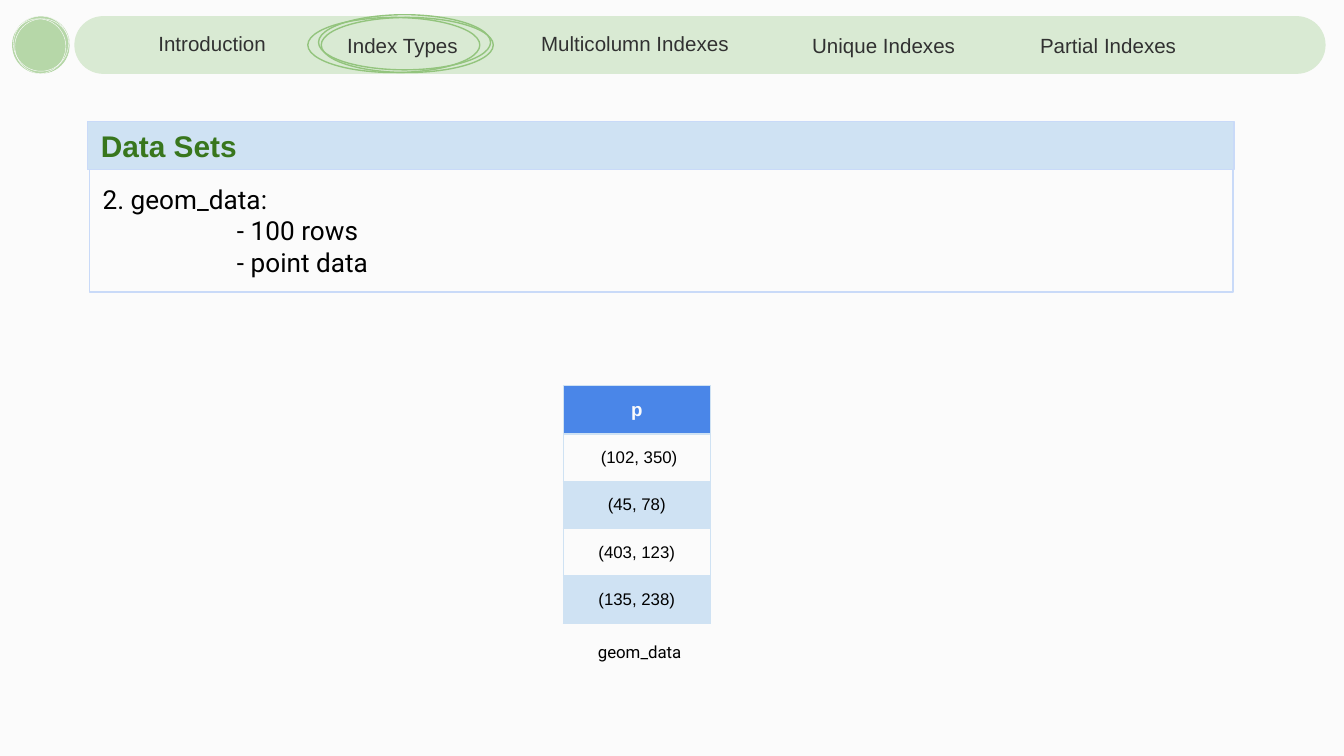
import pptx
import pptx.util
import pptx.dml.color
import pptx.enum.shapes
import pptx.enum.text
import pptx.oxml
import pptx.oxml.ns

Pt = pptx.util.Pt
kind = pptx.enum.shapes.MSO_SHAPE
align = pptx.enum.text.PP_ALIGN
mid = pptx.enum.text.MSO_ANCHOR.MIDDLE
top = pptx.enum.text.MSO_ANCHOR.TOP
color = pptx.dml.color.RGBColor.from_string

deck = pptx.Presentation()
deck.slide_width = pptx.util.Inches(10)
deck.slide_height = deck.slide_width * 9 // 16
slide = deck.slides.add_slide(deck.slide_layouts[6])
slide.background.fill.solid()
slide.background.fill.fore_color.rgb = color("FBFBFB")
unit = deck.slide_width / 100
pad = round(unit)


def draw(form, box, fill=None, line=None, width=0.75):
    shape = slide.shapes.add_shape(form, *[round(n * unit) for n in box])
    shape.shadow.inherit = False
    if fill:
        shape.fill.solid()
        shape.fill.fore_color.rgb = color(fill)
    else:
        shape.fill.background()
    if line:
        shape.line.color.rgb = color(line)
        shape.line.width = Pt(width)
    else:
        shape.line.fill.background()
    return shape


def write(frame, lines, size, ink, face="Arial", bold=False, side=align.LEFT, anchor=mid):
    frame.word_wrap = True
    frame.vertical_anchor = anchor
    frame.margin_left = frame.margin_right = pad
    frame.margin_top = frame.margin_bottom = pad
    for i, line in enumerate(lines):
        para = frame.paragraphs[0] if i == 0 else frame.add_paragraph()
        para.alignment = side
        run = para.add_run()
        run.text = line
        run.font.size = Pt(size)
        run.font.name = face
        run.font.bold = bold
        run.font.color.rgb = color(ink)


draw(kind.OVAL, (0.9, 1.2, 4.3, 4.3), "B6D7A8")
for x, y in [(1, 1.2), (0.8, 1.4), (1.1, 1.4)]:
    draw(kind.OVAL, (x, y, 4.1, 4.1), None, "FBFBFB", 0.23)

head = draw(kind.RECTANGLE, (6.53, 9.03, 85.3, 3.6), "CFE2F3", "C9DAF8")
write(head.text_frame, ["Data Sets"], 16, "38761D", bold=True)

body = draw(kind.RECTANGLE, (6.65, 12.63, 85.1, 9.1), None, "C9DAF8")
notes = ["2. geom_data:", "- 100 rows", "- point data"]
write(body.text_frame, notes, 14, "000000", "Roboto", side=align.JUSTIFY, anchor=top)
for para in body.text_frame.paragraphs[1:]:
    props = para._p.get_or_add_pPr()
    props.set("marL", str(10 * pad))
    props.set("indent", "0")

points = ["p", " (102, 350)", "(45, 78)", "(403, 123)", "(135, 238)"]
spot = [round(n * unit) for n in (41.9, 28.7, 10.95, 17.7)]
table = slide.shapes.add_table(len(points), 1, *spot).table
table.first_row = table.horz_banding = False
for i, point in enumerate(points):
    table.rows[i].height = round((3.52 if i else 3.6) * unit)
    cell = table.cell(i, 0)
    if i % 2:
        cell.fill.background()
    else:
        cell.fill.solid()
        cell.fill.fore_color.rgb = color("CFE2F3" if i else "4A86E8")
    write(cell.text_frame, [point], 9 if i else 10, "000000" if i else "FBFBFB",
          bold=i == 0, side=align.CENTER)
    cell.vertical_anchor = mid
    cell.margin_left = cell.margin_right = pad
    cell.margin_top = cell.margin_bottom = pad
    props = cell._tc.get_or_add_tcPr()
    for j, edge in enumerate(["lnL", "lnR", "lnT", "lnB"]):
        props.insert(j, pptx.oxml.parse_xml(
            f'<a:{edge} {pptx.oxml.ns.nsdecls("a")} w="{Pt(0.75)}"><a:solidFill>'
            f'<a:srgbClr val="CFE2F3"/></a:solidFill></a:{edge}>'))

label = slide.shapes.add_textbox(*[round(n * unit) for n in (43.5, 47, 9.4, 3.5)])
write(label.text_frame, ["geom_data"], 9, "000000", "Roboto", anchor=top)

bar = draw(kind.ROUNDED_RECTANGLE, (5.53, 1.2, 93.1, 4.3), "D9EAD3")
bar.adjustments[0] = 0.5
tabs = [
    ("Introduction", 10.8, 2.2, 15.9, align.LEFT),
    ("Index Types", 23.5, 2.3, 12.9, align.CENTER),
    ("Multicolumn Indexes", 38.4, 2.2, 17.7, align.CENTER),
    ("Unique Indexes", 57.8, 2.3, 15.9, align.CENTER),
    ("Partial Indexes", 74.5, 2.3, 15.9, align.CENTER),
]
for name, x, y, w, side in tabs:
    tab = slide.shapes.add_textbox(*[round(n * unit) for n in (x, y, w, 2.1)])
    write(tab.text_frame, [name], 11, "313131", side=side)

for x, y in [(23.7, 1.1), (22.9, 1.3), (23.9, 1.3)]:
    draw(kind.OVAL, (x, y, 12.8, 4.1), None, "93C47D")

deck.save("out.pptx")
